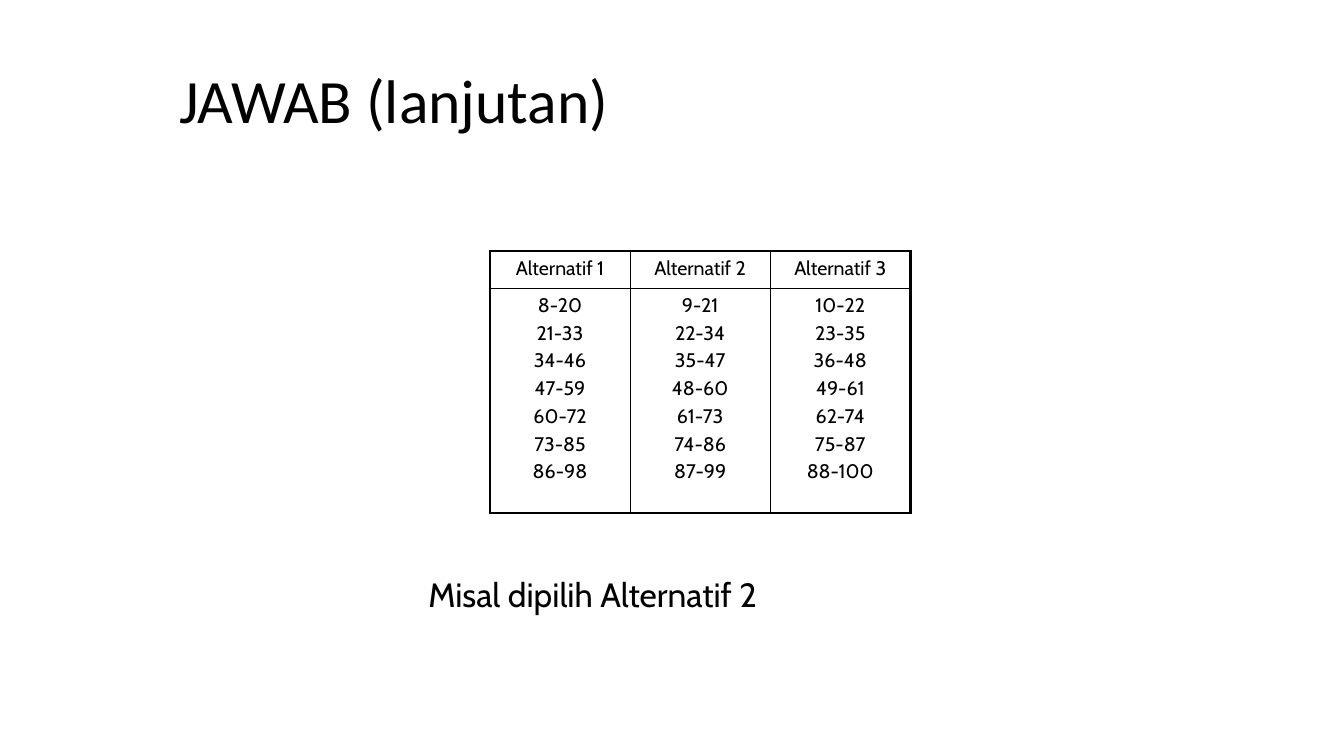
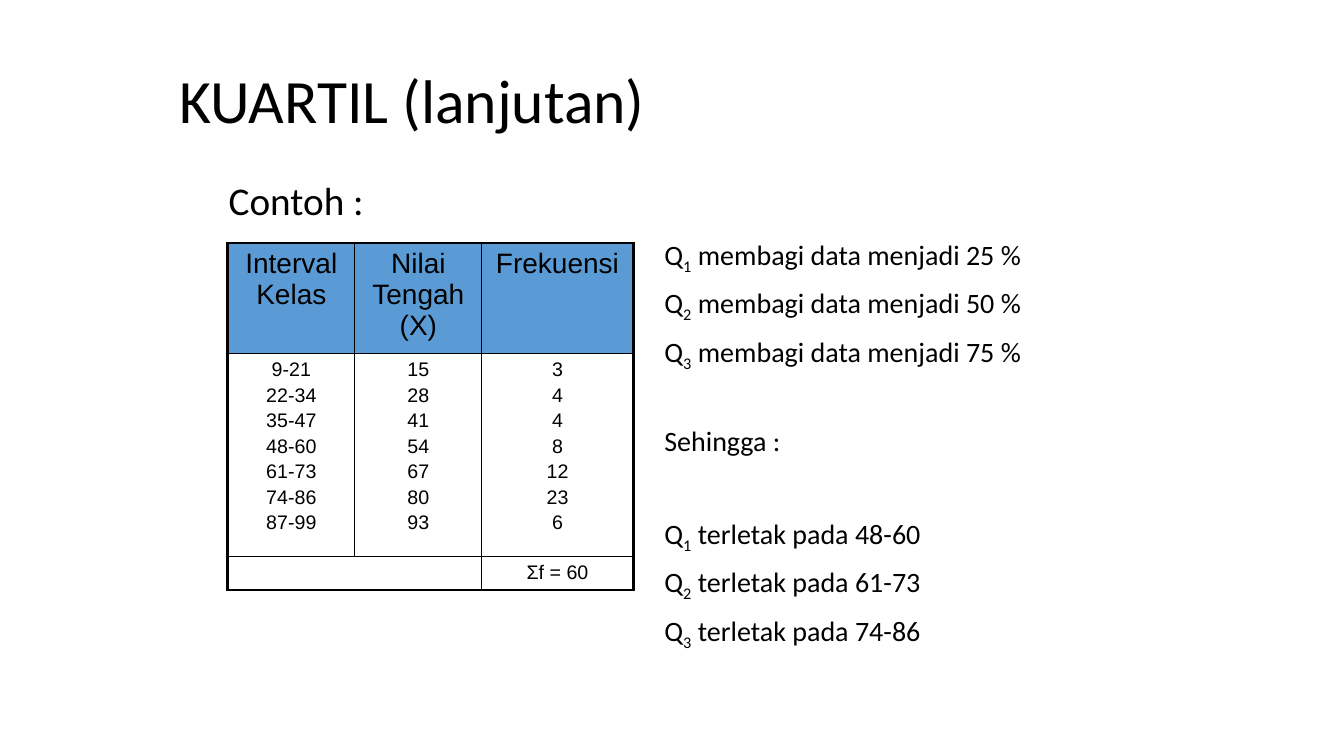
import pptx
import pptx.dml.color
import pptx.enum.text
import pptx.util
from lxml import etree
from pptx.oxml.ns import qn
from pptx.util import Inches, Pt

COLORS = {"ink": "000000", "header": "5B9BD5"}
OUTER, INNER = 2.25, 1
ALIGN = pptx.enum.text.PP_ALIGN
ANCHOR = pptx.enum.text.MSO_ANCHOR


def style_text(para, font, size):
    for span in para.runs:
        span.font.name = font
        span.font.size = Pt(size)
        span.font.color.rgb = pptx.dml.color.RGBColor.from_string(COLORS["ink"])


def add_grid(page, left, top, widths, heights, rows, font, sizes, gap, header=None):
    frame = page.shapes.add_table(len(rows), len(widths), Inches(left), Inches(top),
                                  Inches(sum(widths)), Inches(sum(heights)))
    table = frame.table
    table.first_row = False
    table.horz_banding = False
    for column, width in zip(table.columns, widths):
        column.width = Inches(width)
    for row, height in zip(table.rows, heights):
        row.height = Inches(height)
    for r, texts in enumerate(rows):
        for c, text in enumerate(texts):
            cell = table.cell(r, c)
            cell.text_frame.text = text
            for index, para in enumerate(cell.text_frame.paragraphs):
                para.alignment = ALIGN.CENTER
                if index:
                    para.space_before = Pt(gap)
                style_text(para, font, sizes[r])
                if not para.runs:
                    end = etree.SubElement(para._p, qn("a:endParaRPr"))
                    end.set("sz", str(sizes[r] * 100))
            edges = {"a:lnL": c == 0, "a:lnR": c == len(widths) - 1,
                     "a:lnT": r == 0, "a:lnB": r == len(rows) - 1}
            properties = cell._tc.get_or_add_tcPr()
            for tag, is_outer in edges.items():
                line = etree.SubElement(properties, qn(tag))
                line.set("w", str(Pt(OUTER if is_outer else INNER)))
                fill = etree.SubElement(line, qn("a:solidFill"))
                etree.SubElement(fill, qn("a:srgbClr")).set("val", COLORS["ink"])
            if header and r == 0:
                cell.fill.solid()
                cell.fill.fore_color.rgb = pptx.dml.color.RGBColor.from_string(header)
            else:
                cell.fill.background()
    return table


deck = pptx.Presentation()
deck.slide_width = Inches(13.33)
deck.slide_height = Inches(7.5)

pages = []
for title in ("JAWAB (lanjutan)", "KUARTIL (lanjutan)"):
    page = deck.slides.add_slide(deck.slide_layouts[6])
    box = page.shapes.add_textbox(Inches(1.68), Inches(0.23), Inches(11.36), Inches(1.6))
    box.text_frame.word_wrap = True
    box.text_frame.vertical_anchor = ANCHOR.MIDDLE
    box.text_frame.text = title
    para = box.text_frame.paragraphs[0]
    para.line_spacing = 0.9
    style_text(para, "Calibri", 44)
    pages.append(page)
answer_page, quartile_page = pages

CLASS_COUNT, CLASS_WIDTH = 7, 13
intervals = []
for start in (8, 9, 10):
    lows = [start + CLASS_WIDTH * step for step in range(CLASS_COUNT)]
    intervals.append("\n".join(f"{low}-{low + CLASS_WIDTH - 1}" for low in lows))

add_grid(answer_page, 4.86, 2.49, [1.39] * 3, [0.37, 2.23],
         [["Alternatif 1", "Alternatif 2", "Alternatif 3"], intervals],
         "Cabin", [14, 14], 2.8)

box = answer_page.shapes.add_textbox(Inches(4.15), Inches(5.64), Inches(3.66), Inches(0.5))
box.text_frame.word_wrap = False
box.text_frame.text = "Misal dipilih Alternatif 2"
style_text(box.text_frame.paragraphs[0], "Cabin", 24)

midpoints = "\n".join(str(15 + CLASS_WIDTH * step) for step in range(CLASS_COUNT))
frequencies = [3, 4, 4, 8, 12, 23, 6]

NORMAL_GAP, SECTION_GAP = 10, 42
quartile_lines = [
    (["Contoh :"], 28, 0),
    (["\tQ", "1", " membagi data menjadi 25 %"], 20, NORMAL_GAP),
    (["\tQ", "2", " membagi data menjadi 50 %"], 20, NORMAL_GAP),
    (["\tQ", "3", " membagi data menjadi 75 %"], 20, NORMAL_GAP),
    (["\tSehingga :"], 20, SECTION_GAP),
    (["\tQ", "1", " terletak pada 48-60"], 20, SECTION_GAP),
    (["\tQ", "2", " terletak pada 61-73"], 20, NORMAL_GAP),
    (["\tQ", "3", " terletak pada 74-86"], 20, NORMAL_GAP),
]
box = quartile_page.shapes.add_textbox(Inches(2.17), Inches(1.75), Inches(9.15), Inches(4.95))
box.text_frame.word_wrap = True
for index, (parts, size, gap) in enumerate(quartile_lines):
    para = box.text_frame.add_paragraph() if index else box.text_frame.paragraphs[0]
    para.line_spacing = 0.9
    if gap:
        para.space_before = Pt(gap)
    indent = para._p.get_or_add_pPr()
    indent.set("marL", str(Inches(4.32)))
    indent.set("indent", str(-Inches(4.32)))
    for part in parts:
        span = para.add_run()
        span.text = part
        if part.isdigit():
            span._r.get_or_add_rPr().set("baseline", "-25000")
    style_text(para, "Calibri", size)

table = add_grid(quartile_page, 2.26, 2.41, [1.26, 1.26, 1.5], [1.1, 2.01, 0.33],
                 [["Interval Kelas", "Nilai Tengah (X)", "Frekuensi"],
                  [intervals[1], midpoints, "\n".join(map(str, frequencies))],
                  ["", "", f"Σf = {sum(frequencies)}"]],
                 "Arial", [20, 14, 14], 2.5, COLORS["header"])
table.cell(2, 0).merge(table.cell(2, 1))

deck.save("out.pptx")
